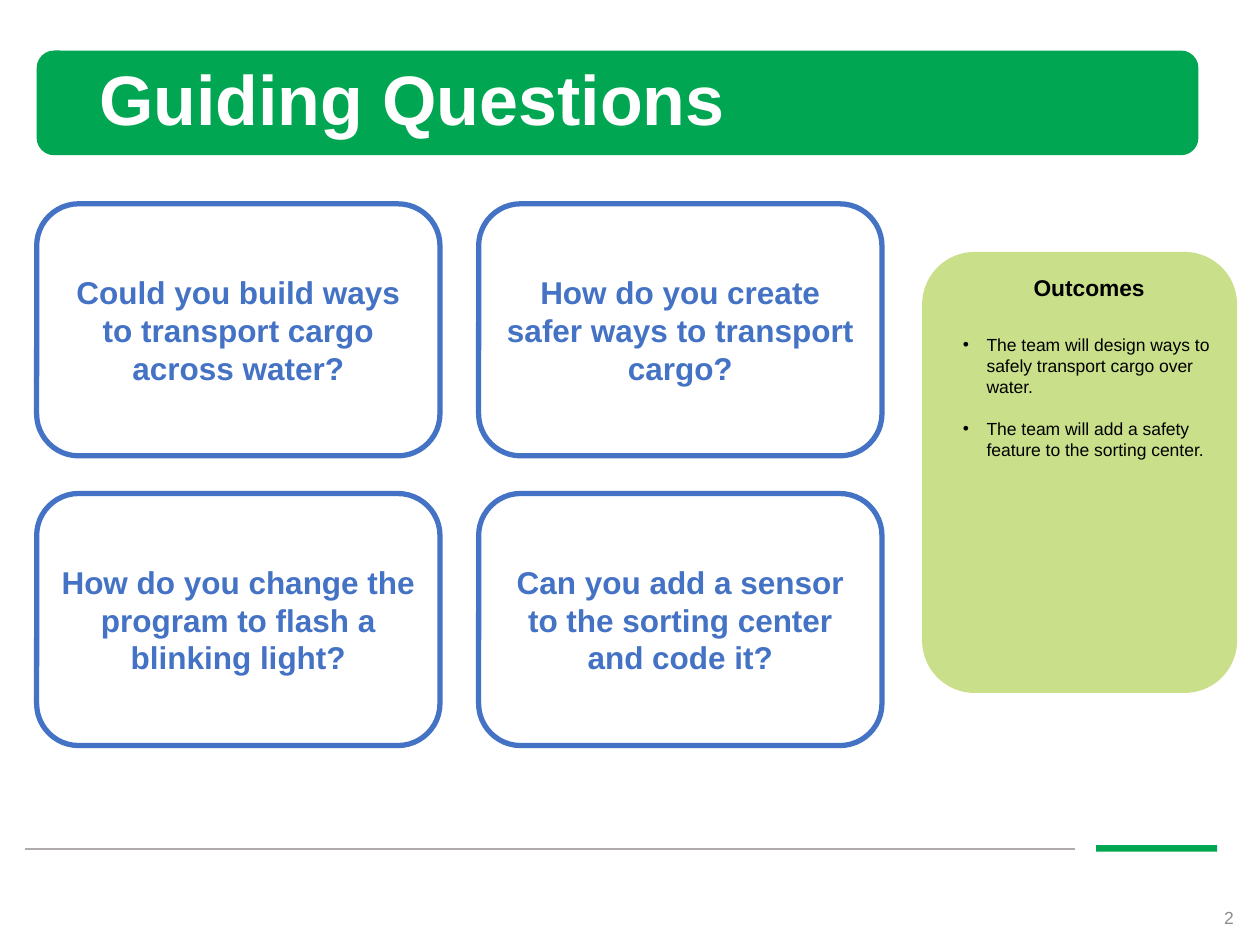
"""Builds the Guiding Questions slide with four question cards and an outcomes panel."""
import pptx
import pptx.dml.color
import pptx.enum.shapes
import pptx.enum.text
import pptx.oxml.ns
import pptx.util
from lxml import etree

Cm = pptx.util.Cm
Pt = pptx.util.Pt
RGBColor = pptx.dml.color.RGBColor
Shape = pptx.enum.shapes.MSO_SHAPE
Align = pptx.enum.text.PP_ALIGN
Anchor = pptx.enum.text.MSO_ANCHOR
qn = pptx.oxml.ns.qn

GREEN = RGBColor(0x00, 0xA6, 0x51)
LIME = RGBColor(0xC9, 0xDF, 0x89)
BLUE = RGBColor(0x44, 0x72, 0xC4)
RULE_GRAY = RGBColor(0xAF, 0xAB, 0xAB)
NUMBER_GRAY = RGBColor(0x8C, 0x8C, 0x8C)
WHITE = RGBColor(0xFF, 0xFF, 0xFF)
BLACK = RGBColor(0x00, 0x00, 0x00)

QUESTIONS = [
    ["Could you build ways to transport cargo across water?",
     "How do you create safer ways to transport cargo?"],
    ["How do you change the program to flash a blinking light?",
     "Can you add a sensor to the sorting center and code it?"],
]
OUTCOMES = [
    "The team will design ways to safely transport cargo over water.",
    "The team will add a safety feature to the sorting center.",
]


class SlideBuilder:
    """Holds the typeface and the page, and adds each kind of element."""

    def __init__(self, page, typeface="Arial"):
        self.page = page
        self.typeface = typeface

    def set_text(self, paragraph, text, size, color, bold=False, align=Align.LEFT):
        """Fills a paragraph with text in one style."""
        paragraph.text = text
        paragraph.alignment = align
        font = paragraph.font
        font.name, font.size, font.bold = self.typeface, Pt(size), bold
        font.color.rgb = color

    def block(self, kind, left, top, width, height, fill, outline=None):
        """Adds a filled shape with an optional thick outline."""
        shape = self.page.shapes.add_shape(kind, Cm(left), Cm(top), Cm(width), Cm(height))
        shape.shadow.inherit = False
        shape.fill.solid()
        shape.fill.fore_color.rgb = fill
        if outline is None:
            shape.line.fill.background()
        else:
            shape.line.color.rgb = outline
            shape.line.width = Pt(3)
        return shape

    def rule(self, left, right, top, color):
        """Adds a thin horizontal line."""
        line = self.page.shapes.add_connector(
            pptx.enum.shapes.MSO_CONNECTOR.STRAIGHT, Cm(left), Cm(top), Cm(right), Cm(top))
        line.line.color.rgb = color
        line.line.width = Pt(1)
        etree.SubElement(line._element.spPr, qn("a:effectLst"))

    def label(self, left, top, width, height, text, size, color, **style):
        """Adds a vertically centred text box and returns its paragraph."""
        box = self.page.shapes.add_textbox(Cm(left), Cm(top), Cm(width), Cm(height))
        frame = box.text_frame
        frame.word_wrap = True
        frame.vertical_anchor = Anchor.MIDDLE
        self.set_text(frame.paragraphs[0], text, size, color, **style)
        return frame.paragraphs[0]

    def card(self, left, top, question):
        """Adds an outlined card with a centred question."""
        shape = self.block(Shape.ROUNDED_RECTANGLE, left, top, 8.13, 5.08, WHITE, BLUE)
        frame = shape.text_frame
        frame.vertical_anchor = Anchor.MIDDLE
        self.set_text(frame.paragraphs[0], question, 18, BLUE, True, Align.CENTER)

    def panel(self, left, top, width, height, heading, items):
        """Adds a panel with a heading above a bulleted list."""
        shape = self.block(Shape.ROUNDED_RECTANGLE, left, top, width, height, LIME)
        frame = shape.text_frame
        frame.vertical_anchor = Anchor.TOP
        frame.margin_left, frame.margin_top = Cm(0.51), Cm(0.13)
        frame.margin_right, frame.margin_bottom = Cm(0.13), Cm(0.25)
        title = frame.paragraphs[0]
        self.set_text(title, heading, 13, BLACK, True, Align.CENTER)
        title.space_after = Pt(19)
        for index, item in enumerate(items):
            paragraph = frame.add_paragraph()
            self.bullet(paragraph)
            self.set_text(paragraph, item, 10, BLACK)
            if index:
                paragraph.space_before = Pt(12)

    def bullet(self, paragraph):
        """Gives a paragraph a hanging round bullet."""
        properties = paragraph._p.get_or_add_pPr()
        properties.set("marL", str(Cm(0.48)))
        properties.set("indent", str(-Cm(0.48)))
        etree.SubElement(properties, qn("a:buFont"), typeface=self.typeface)
        etree.SubElement(properties, qn("a:buChar"), char="•")


def main():
    """Builds and saves the deck."""
    deck = pptx.Presentation()
    deck.slide_width, deck.slide_height = Cm(25.4), Cm(19.05)
    builder = SlideBuilder(deck.slides.add_slide(deck.slide_layouts[6]))

    builder.block(Shape.RECTANGLE, 22.1, 17.04, 2.44, 0.13, GREEN)
    builder.rule(0.51, 21.67, 17.12, RULE_GRAY)
    builder.block(Shape.ROUNDED_RECTANGLE, 0.74, 1.02, 23.42, 2.11, GREEN)
    builder.label(24.13, 18.21, 0.99, 0.58, "2", 10, NUMBER_GRAY, align=Align.RIGHT)
    title = builder.label(1.75, 1.02, 21.89, 2.11, "Guiding Questions", 40, WHITE, bold=True)
    title.line_spacing = 0.9

    builder.panel(18.59, 5.08, 6.35, 8.89, "Outcomes", OUTCOMES)
    for row, questions in enumerate(QUESTIONS):
        for column, question in enumerate(questions):
            builder.card(0.74 + column * 8.91, 4.11 + row * 5.84, question)

    deck.save("out.pptx")


if __name__ == "__main__":
    main()
